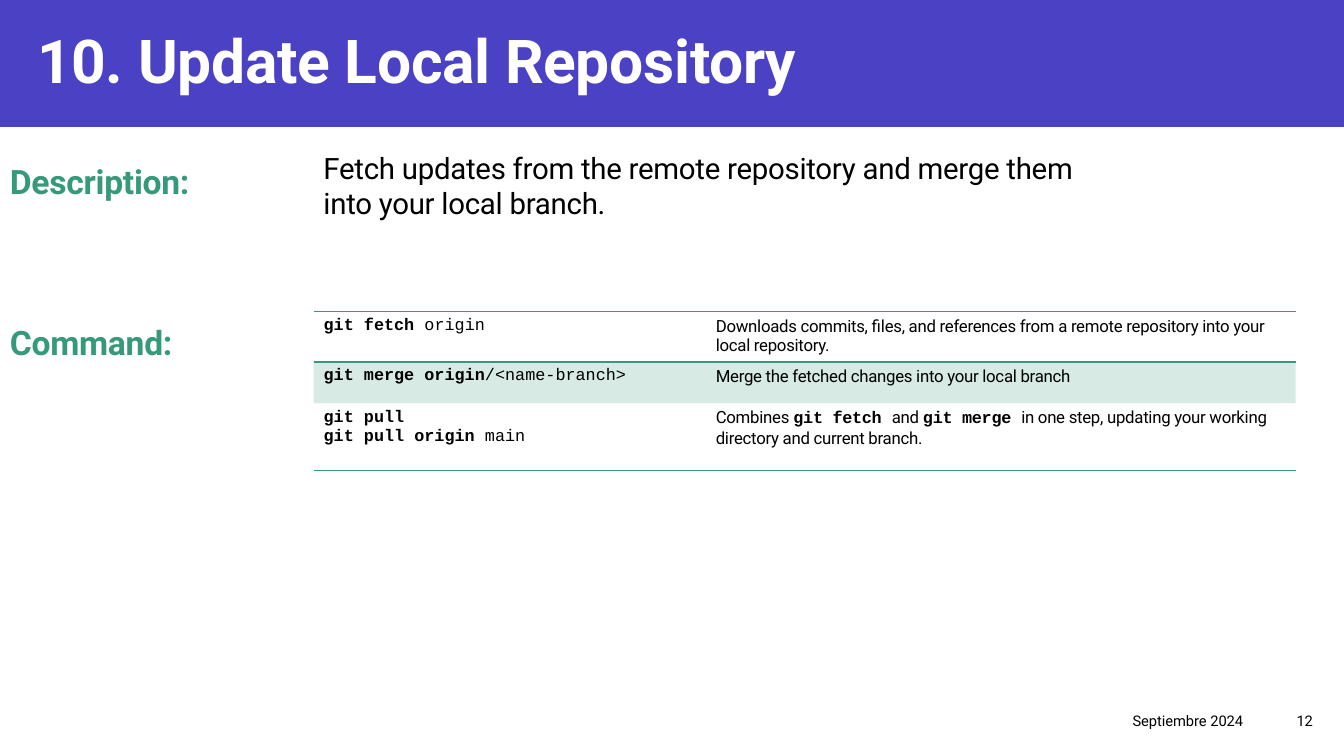
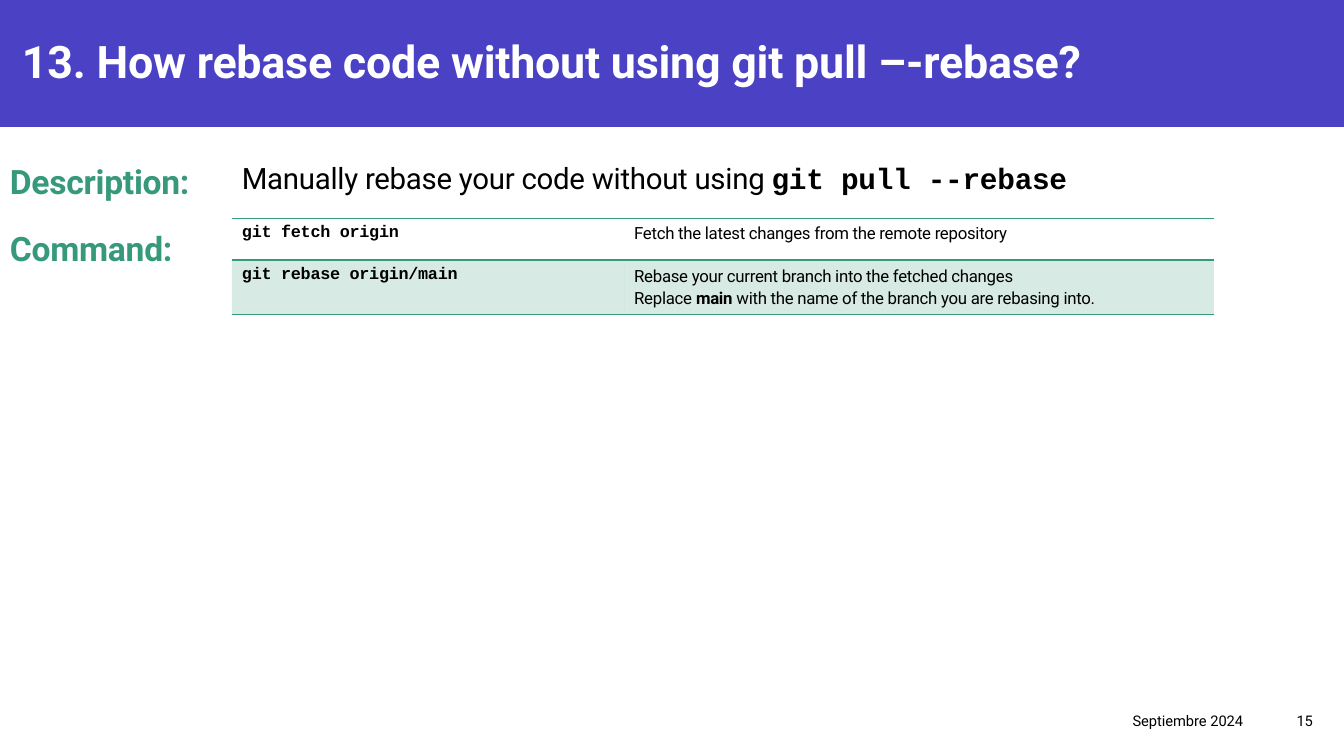
from lxml import etree
from pptx import Presentation
from pptx import util as u
from pptx.dml.color import RGBColor
from pptx.enum import shapes, text
from pptx.oxml.ns import qn

# Shared look
WIDTH, HEIGHT = 13.33, 7.5
PURPLE, GREEN, BLACK, WHITE = "4A41C5", "37997B", "000000", "FFFFFF"
BAND_HEIGHT = 1.26
COLUMNS = (3.89, 5.85)
NO_GRID_STYLE = "{2D5ABB26-0587-4C30-8999-92F81FD0307C}"
DATE = "Septiembre 2024"
TOP, MIDDLE = text.MSO_ANCHOR.TOP, text.MSO_ANCHOR.MIDDLE
RIGHT = text.PP_ALIGN.RIGHT

# Style name: font, bold, letter spacing in points
STYLES = {
    "plain": ("Roboto", False, 0),
    "text": ("Roboto", False, -0.2),
    "strong": ("Roboto", True, -0.2),
    "command": ("Courier New", True, 0),
    "argument": ("Courier New", False, 0),
    "code": ("Courier New", True, -0.2),
}

# Content: each paragraph is a list of (words, style)
SLIDES = [
    {
        "title": "10. Update Local Repository",
        "title_box": (0.27, 0.15, 10.29, 0.88),
        "title_format": {"size": 43.2, "anchor": MIDDLE},
        "description": [[("Fetch updates from the remote repository and merge them "
                          "into your local branch.", "text")]],
        "description_box": (3.11, 1.42, 7.71, 0.84),
        "description_spacing": 1.0,
        "command_top": 3.1,
        "table_at": (3.11, 3.09),
        "row_heights": (0.49, 0.41, 0.67),
        "line_spacing": 1.0,
        "commands": [
            ([[("git fetch ", "command"), ("origin", "argument")]],
             [[("Downloads commits, files, and references from a remote "
                "repository into your local repository.", "text")]]),
            ([[("git merge origin", "command"), ("/<name-branch>", "argument")]],
             [[("Merge the fetched changes into your local branch", "text")]]),
            ([[("git pull", "command")],
              [("git pull origin ", "command"), ("main", "argument")]],
             [[("Combines ", "text"), ("git fetch ", "code"), ("and ", "text"),
               ("git merge ", "code"),
               ("in one step, updating your working directory and current branch.",
                "text")]]),
        ],
        "number": "12",
    },
    {
        "title": "13. How rebase code without using git pull –-rebase?",
        "title_box": (0.12, 0.25, 13, 0.65),
        "title_format": {"size": 32, "spacing": 1.07},
        "description": [[("Manually rebase your code without using ", "text"),
                         ("git pull --rebase", "code")]],
        "description_box": (2.3, 1.51, 8.74, 0.48),
        "description_spacing": 1.1,
        "command_top": 2.17,
        "table_at": (2.3, 2.17),
        "row_heights": (0.41, 0.52),
        "line_spacing": 1.1,
        "commands": [
            ([[("git fetch origin", "code")]],
             [[("Fetch the latest changes from the remote repository", "text")]]),
            ([[("git rebase origin/main", "code")]],
             [[("Rebase your current branch into the fetched changes", "text")],
              [("Replace ", "text"), ("main", "strong"),
               (" with the name of the branch you are rebasing into.", "text")]]),
        ],
        "number": "15",
    },
]


def rgb(code):
    return RGBColor.from_string(code)


def write(frame, paragraphs, size, color=BLACK, spacing=1.0, before=0, align=None):
    for index, runs in enumerate(paragraphs):
        paragraph = frame.add_paragraph() if index else frame.paragraphs[0]
        paragraph.line_spacing = spacing
        paragraph.space_before = u.Pt(before)
        paragraph.alignment = align
        for words, style in runs:
            font, bold, tracking = STYLES[style]
            run = paragraph.add_run()
            run.text = words
            run.font.name, run.font.bold, run.font.size = font, bold, u.Pt(size)
            run.font.color.rgb = rgb(color)
            run._r.get_or_add_rPr().set("spc", str(round(tracking * 100)))


def add_text(slide, box, paragraphs, anchor=TOP, **look):
    frame = slide.shapes.add_textbox(*map(u.Inches, box)).text_frame
    frame.word_wrap = True
    frame.vertical_anchor = anchor
    write(frame, paragraphs, **look)


def add_rule(cell, side):
    rule = etree.SubElement(cell._tc.get_or_add_tcPr(), qn("a:ln" + side), w="12700")
    fill = etree.SubElement(rule, qn("a:solidFill"))
    etree.SubElement(fill, qn("a:srgbClr"), val=GREEN)


def tint(cell):
    cell.fill.solid()
    cell.fill.fore_color.rgb = rgb(GREEN)
    color = cell._tc.tcPr.find(qn("a:solidFill")).find(qn("a:srgbClr"))
    etree.SubElement(color, qn("a:alpha"), val="20000")


def add_commands(slide, page):
    rows, heights = page["commands"], page["row_heights"]
    box = (*page["table_at"], sum(COLUMNS), sum(heights))
    table = slide.shapes.add_table(len(rows), len(COLUMNS), *map(u.Inches, box)).table
    table.first_row = table.horz_banding = False
    table._tbl.tblPr.find(qn("a:tableStyleId")).text = NO_GRID_STYLE
    for column, width in zip(table.columns, COLUMNS):
        column.width = u.Inches(width)
    for r, (row, height) in enumerate(zip(rows, heights)):
        table.rows[r].height = u.Inches(height)
        for c, paragraphs in enumerate(row):
            cell = table.cell(r, c)
            spacing = page["line_spacing"] if len(paragraphs) > 1 else 1.0
            write(cell.text_frame, paragraphs, 12, spacing=spacing)
            # Rules above and below the first row, and under the last
            if r == 0:
                add_rule(cell, "T")
            if r in (0, len(rows) - 1):
                add_rule(cell, "B")
            if r % 2:
                tint(cell)
            else:
                cell.fill.background()


def add_frame(slide, page):
    # Title band
    band = slide.shapes.add_shape(shapes.MSO_SHAPE.RECTANGLE, 0, 0,
                                  u.Inches(WIDTH), u.Inches(BAND_HEIGHT))
    band.shadow.inherit = False
    band.fill.solid()
    band.fill.fore_color.rgb = rgb(PURPLE)
    band.line.fill.background()
    add_text(slide, page["title_box"], [[(page["title"], "strong")]],
             color=WHITE, **page["title_format"])
    # Footer
    for words, left, width in ((DATE, 7.67, 4.76), (page["number"], 12.43, 0.69)):
        add_text(slide, (left, 6.95, width, 0.4), [[(words, "plain")]],
                 anchor=MIDDLE, size=10.5, align=RIGHT)


def add_page(deck, page):
    slide = deck.slides.add_slide(deck.slide_layouts[6])
    add_frame(slide, page)
    # Section labels
    for label, top in (("Description:", 1.51), ("Command:", page["command_top"])):
        add_text(slide, (0, top, 3.11, 0.65), [[(label, "strong")]],
                 size=24, color=GREEN, spacing=1.1, before=10)
    add_text(slide, page["description_box"], page["description"], anchor=MIDDLE,
             size=21, spacing=page["description_spacing"], before=10)
    add_commands(slide, page)


def main():
    deck = Presentation()
    deck.slide_width, deck.slide_height = u.Inches(WIDTH), u.Inches(HEIGHT)
    for page in SLIDES:
        add_page(deck, page)
    deck.save("out.pptx")


if __name__ == "__main__":
    main()
